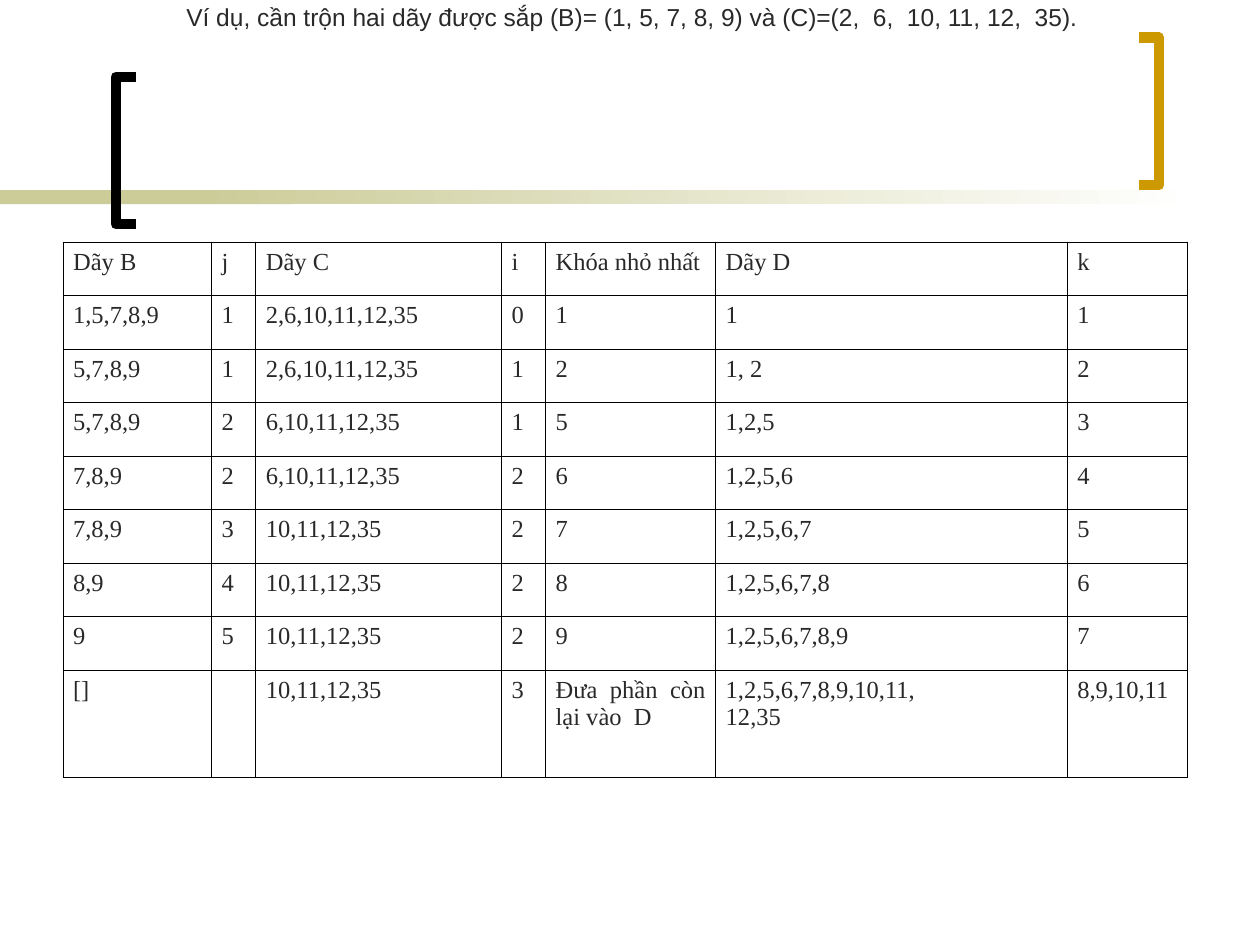
from dataclasses import dataclass

from lxml.etree import SubElement
from pptx import Presentation
from pptx.dml.color import RGBColor
from pptx.enum.shapes import MSO_SHAPE
from pptx.enum.text import MSO_ANCHOR, PP_ALIGN
from pptx.oxml.ns import qn
from pptx.util import Inches, Pt

BLACK = RGBColor(0x00, 0x00, 0x00)
WHITE = RGBColor(0xFF, 0xFF, 0xFF)
GOLD = RGBColor(0xCC, 0x99, 0x00)
OLIVE = RGBColor(0xCC, 0xCC, 0x99)
INK = RGBColor(0x29, 0x29, 0x29)

BODY_SIZE = Pt(14)
BORDER_WIDTH = Pt(0.45)
BRACKET_WIDTH = Pt(6)
BAND_TOP = Inches(1.51)
BAND_HEIGHT = Inches(0.11)

CAPTION = (
    "Ví dụ, cần trộn hai dãy được sắp (B)= (1, 5, 7, 8, 9) "
    "và (C)=(2,  6,  10, 11, 12,  35)."
)
COLUMN_WIDTHS = [1.18, 0.35, 1.95, 0.35, 1.35, 2.79, 0.95]
ROW_HEIGHT = 4.25 / 10
MERGE_STEPS = [
    ["Dãy B", "j", "Dãy C", "i", "Khóa nhỏ nhất", "Dãy D", "k"],
    ["1,5,7,8,9", "1", "2,6,10,11,12,35", "0", "1", "1", "1"],
    ["5,7,8,9", "1", "2,6,10,11,12,35", "1", "2", "1, 2", "2"],
    ["5,7,8,9", "2", "6,10,11,12,35", "1", "5", "1,2,5", "3"],
    ["7,8,9", "2", "6,10,11,12,35", "2", "6", "1,2,5,6", "4"],
    ["7,8,9", "3", "10,11,12,35", "2", "7", "1,2,5,6,7", "5"],
    ["8,9", "4", "10,11,12,35", "2", "8", "1,2,5,6,7,8", "6"],
    ["9", "5", "10,11,12,35", "2", "9", "1,2,5,6,7,8,9", "7"],
    ["[]", "", "10,11,12,35", "3", "Đưa phần còn lại vào  D",
     "1,2,5,6,7,8,9,10,11,\n12,35", "8,9,10,11"],
]


@dataclass
class Band:
    left: float
    width: float
    fades: bool


@dataclass
class Bracket:
    spine: float
    tip: float
    top: float
    color: RGBColor
    height: float = 1.17


BANDS = [Band(0, 2.33, False), Band(1.58, 7.92, True)]
BRACKETS = [Bracket(0.92, 1.08, 0.61, BLACK), Bracket(9.2, 9.04, 0.3, GOLD)]


def apply_format(target, values: dict) -> None:
    for name, value in values.items():
        setattr(target, name, value)


def draw_band(slide, band: Band) -> None:
    shape = slide.shapes.add_shape(
        MSO_SHAPE.RECTANGLE, Inches(band.left), BAND_TOP, Inches(band.width), BAND_HEIGHT
    )
    shape.shadow.inherit = False
    shape.line.fill.background()
    if band.fades:
        shape.fill.gradient()
        shape.fill.gradient_angle = 0
        for stop, color, position in zip(shape.fill.gradient_stops, (OLIVE, WHITE), (0, 1)):
            stop.color.rgb = color
            stop.position = position
    else:
        shape.fill.solid()
        shape.fill.fore_color.rgb = OLIVE


def draw_bracket(slide, bracket: Bracket) -> None:
    spine, tip = Inches(bracket.spine), Inches(bracket.tip)
    top, bottom = Inches(bracket.top), Inches(bracket.top + bracket.height)
    builder = slide.shapes.build_freeform(tip, top)
    builder.add_line_segments([(spine, top), (spine, bottom), (tip, bottom)], close=False)
    shape = builder.convert_to_shape()
    shape.shadow.inherit = False
    shape.fill.background()
    shape.line.color.rgb = bracket.color
    shape.line.width = BRACKET_WIDTH


def write_paragraph(paragraph, text: str, font_name: str, alignment: PP_ALIGN) -> None:
    paragraph.alignment = alignment
    run = paragraph.add_run()
    run.text = text
    apply_format(run.font, {"name": font_name, "size": BODY_SIZE})
    run.font.color.rgb = INK


def draw_borders(cell) -> None:
    properties = cell._tc.get_or_add_tcPr()
    for side in ("a:lnL", "a:lnR", "a:lnT", "a:lnB"):
        line = SubElement(properties, qn(side), w=str(int(BORDER_WIDTH)))
        fill = SubElement(line, qn("a:solidFill"))
        SubElement(fill, qn("a:srgbClr"), val=str(BLACK))


def fill_cell(cell, text: str) -> None:
    draw_borders(cell)
    cell.fill.background()
    apply_format(cell, {
        "margin_left": Inches(0.08), "margin_right": Inches(0.08),
        "margin_top": Inches(0.05), "margin_bottom": Inches(0.05),
    })
    if not text:
        return
    frame = cell.text_frame
    for index, line in enumerate(text.split("\n")):
        paragraph = frame.add_paragraph() if index else frame.paragraphs[0]
        write_paragraph(paragraph, line, "Times New Roman", PP_ALIGN.JUSTIFY)


def draw_table(slide) -> None:
    table = slide.shapes.add_table(
        len(MERGE_STEPS), len(COLUMN_WIDTHS),
        Inches(0.5), Inches(1.92), Inches(sum(COLUMN_WIDTHS)), Inches(4.25),
    ).table
    apply_format(table, {"first_row": False, "horz_banding": False})
    for column, width in zip(table.columns, COLUMN_WIDTHS):
        column.width = Inches(width)
    for row, texts in zip(table.rows, MERGE_STEPS):
        row.height = Inches(ROW_HEIGHT)
        for cell, text in zip(row.cells, texts):
            fill_cell(cell, text)
    table.rows[len(MERGE_STEPS) - 1].height = Inches(2 * ROW_HEIGHT)


def draw_caption(slide) -> None:
    box = slide.shapes.add_textbox(Inches(1.38), Inches(-0.03), Inches(7.28), Inches(0.57))
    apply_format(box.text_frame, {"word_wrap": False, "vertical_anchor": MSO_ANCHOR.TOP})
    write_paragraph(box.text_frame.paragraphs[0], CAPTION, "Arial", PP_ALIGN.LEFT)


def main() -> None:
    presentation = Presentation()
    apply_format(presentation, {"slide_width": Inches(10), "slide_height": Inches(7.5)})
    slide = presentation.slides.add_slide(presentation.slide_layouts[6])
    for band in BANDS:
        draw_band(slide, band)
    for bracket in BRACKETS:
        draw_bracket(slide, bracket)
    draw_table(slide)
    draw_caption(slide)
    presentation.save("out.pptx")


if __name__ == "__main__":
    main()
